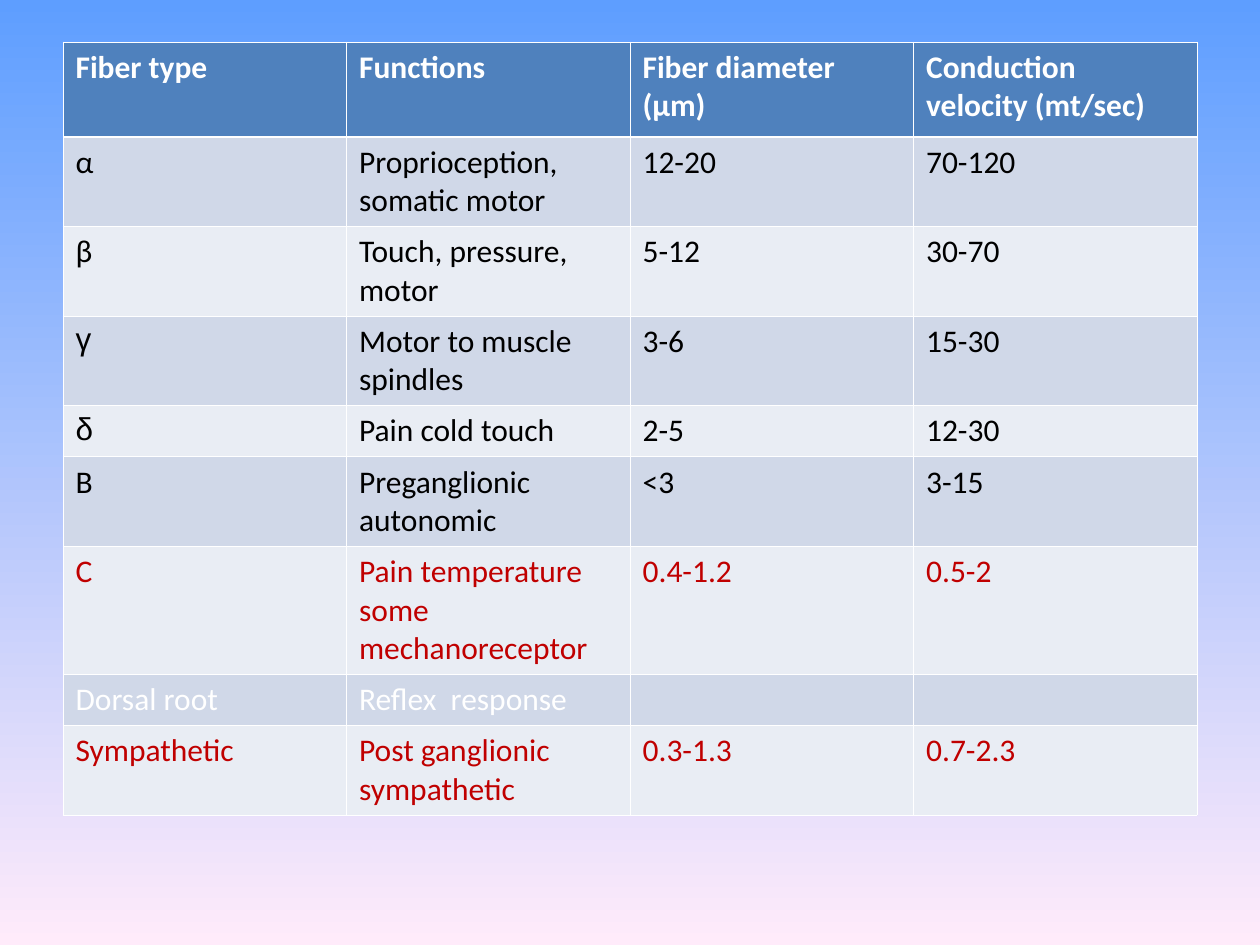
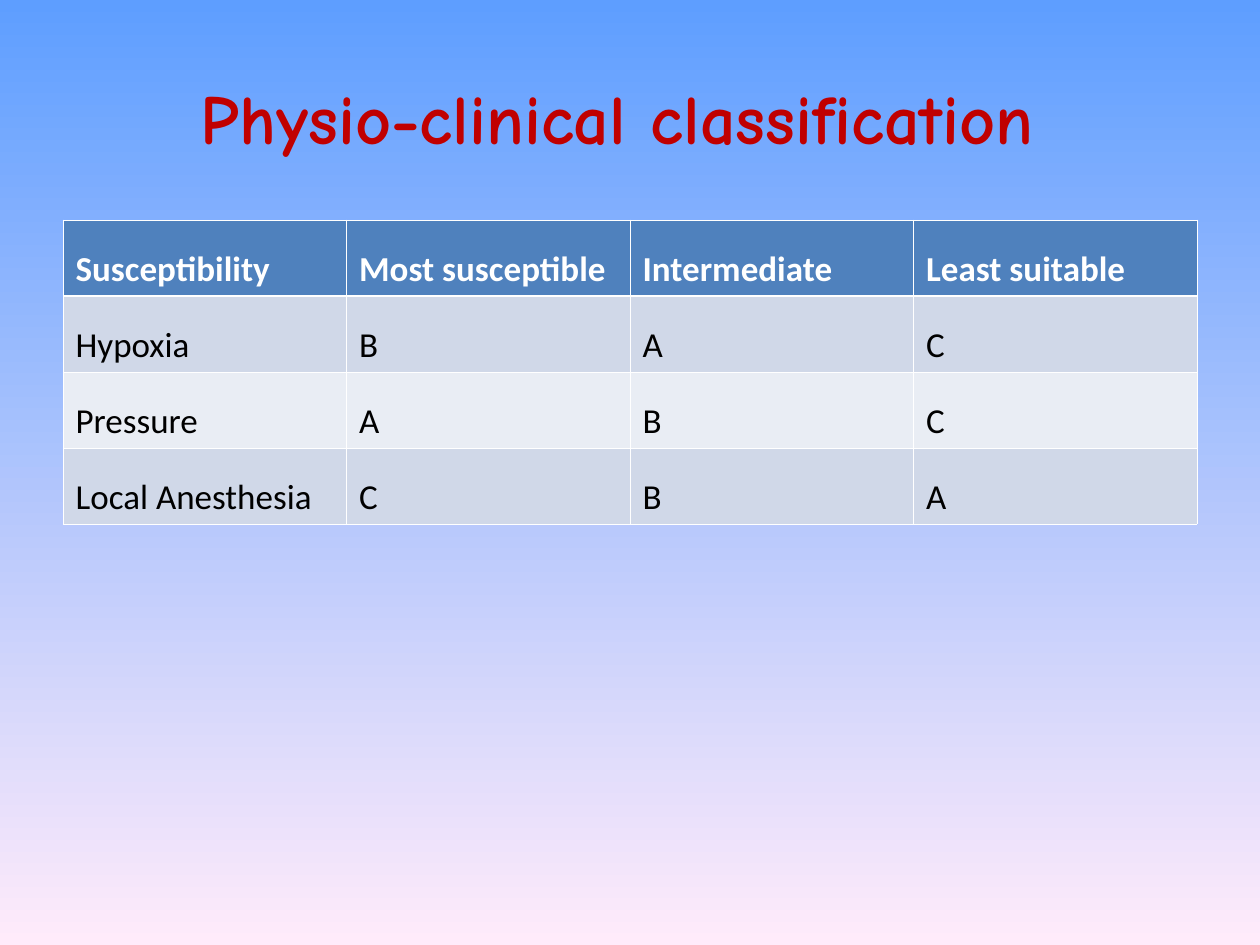
from dataclasses import dataclass

from lxml.etree import SubElement
from pptx import Presentation
from pptx.dml.color import RGBColor
from pptx.enum.text import MSO_ANCHOR, PP_ALIGN
from pptx.oxml.ns import qn
from pptx.slide import Slide
from pptx.table import _Cell as Cell
from pptx.util import Emu, Pt

# Shared look
EMU_PER_PX = 914400 / 126
SLIDE_WIDTH, SLIDE_HEIGHT = 1260, 945
MARGIN = 63
CONTENT_WIDTH = SLIDE_WIDTH - 2 * MARGIN
SKY, BLUSH = "5E9EFF", "FFEBFA"
WHITE, BLACK, RED = "FFFFFF", "000000", "C00000"
HEADER_FILL = "4F81BD"
BAND_FILLS = ("E9EDF4", "D0D8E8")
BODY_FONT, GREEK_FONT, TITLE_FONT = "Calibri", "Arial", "Comic Neue"
THIN_LINE, HEADER_LINE = 0.45, 1.47


@dataclass(frozen=True)
class TableRow:
    cells: tuple[str, ...]
    height: int
    color: str = BLACK
    first_font: str = BODY_FONT


@dataclass(frozen=True)
class TableSpec:
    top: int
    font_size: int
    line_spacing: float
    rows: tuple[TableRow, ...]


# Table contents
FIBER_TYPES = TableSpec(42, 18, 1.0, (
    TableRow(("Fiber type", "Functions", "Fiber diameter (µm)",
              "Conduction velocity (mt/sec)"), 95, WHITE),
    TableRow(("α", "Proprioception, somatic motor", "12-20", "70-120"), 89),
    TableRow(("β", "Touch, pressure, motor", "5-12", "30-70"), 89),
    TableRow(("γ", "Motor to muscle spindles", "3-6", "15-30"), 89,
             first_font=GREEK_FONT),
    TableRow(("δ", "Pain cold touch", "2-5", "12-30"), 51,
             first_font=GREEK_FONT),
    TableRow(("B", "Preganglionic autonomic", "<3", "3-15"), 89),
    TableRow(("C", "Pain temperature some mechanoreceptor",
              "0.4-1.2", "0.5-2"), 128, RED),
    TableRow(("Dorsal root", "Reflex  response", "", ""), 51, WHITE),
    TableRow(("Sympathetic", "Post ganglionic sympathetic",
              "0.3-1.3", "0.7-2.3"), 89, RED),
))

SUSCEPTIBILITY = TableSpec(220, 20, 1.5, (
    TableRow(("Susceptibility", "Most susceptible", "Intermediate",
              "Least suitable"), 76, WHITE),
    TableRow(("Hypoxia", "B", "A", "C"), 76),
    TableRow(("Pressure", "A", "B", "C"), 76),
    TableRow(("Local Anesthesia", "C", "B", "A"), 76),
))


def px(length: int) -> Emu:
    return Emu(round(length * EMU_PER_PX))


def rgb(hex_color: str) -> RGBColor:
    return RGBColor.from_string(hex_color)


def add_gradient_slide(presentation) -> Slide:
    slide = presentation.slides.add_slide(presentation.slide_layouts[6])
    fill = slide.background.fill
    fill.gradient()
    fill.gradient_angle = 270
    for stop, color in zip(fill.gradient_stops, (SKY, BLUSH)):
        stop.color.rgb = rgb(color)
    return slide


def style_text(paragraph, font_name: str, size: int, color: str,
               bold: bool) -> None:
    for run in paragraph.runs:
        run.font.name = font_name
        run.font.size = Pt(size)
        run.font.bold = bold
        run.font.color.rgb = rgb(color)


def add_title(slide: Slide, text: str) -> None:
    box = slide.shapes.add_textbox(px(MARGIN), px(38), px(CONTENT_WIDTH), px(158))
    text_frame = box.text_frame
    text_frame.word_wrap = True
    text_frame.vertical_anchor = MSO_ANCHOR.MIDDLE
    text_frame.text = text
    paragraph = text_frame.paragraphs[0]
    paragraph.alignment = PP_ALIGN.CENTER
    style_text(paragraph, TITLE_FONT, 40, RED, True)


def set_borders(cell: Cell, top: float, bottom: float) -> None:
    properties = cell._tc.get_or_add_tcPr()
    widths = {"lnL": THIN_LINE, "lnR": THIN_LINE, "lnT": top, "lnB": bottom}
    for side, width in widths.items():
        line = SubElement(properties, qn(f"a:{side}"), w=str(Pt(width)))
        fill = SubElement(line, qn("a:solidFill"))
        SubElement(fill, qn("a:srgbClr"), val=WHITE)


def add_data_table(slide: Slide, spec: TableSpec) -> None:
    column_count = len(spec.rows[0].cells)
    table = slide.shapes.add_table(
        len(spec.rows), column_count, px(MARGIN), px(spec.top),
        px(CONTENT_WIDTH), px(sum(row.height for row in spec.rows))).table
    table.horz_banding = False

    for row_index, row in enumerate(spec.rows):
        table.rows[row_index].height = px(row.height)
        is_header = row_index == 0
        for column_index, text in enumerate(row.cells):
            cell = table.cell(row_index, column_index)
            # Borders go before the fill in the cell properties
            set_borders(cell,
                        top=HEADER_LINE if row_index == 1 else THIN_LINE,
                        bottom=HEADER_LINE if is_header else THIN_LINE)
            cell.fill.solid()
            cell.fill.fore_color.rgb = rgb(
                HEADER_FILL if is_header else BAND_FILLS[row_index % 2])
            cell.text_frame.text = text
            paragraph = cell.text_frame.paragraphs[0]
            paragraph.line_spacing = spec.line_spacing
            font_name = row.first_font if column_index == 0 else BODY_FONT
            style_text(paragraph, font_name, spec.font_size, row.color, is_header)


def main() -> None:
    presentation = Presentation()
    presentation.slide_width = px(SLIDE_WIDTH)
    presentation.slide_height = px(SLIDE_HEIGHT)

    # Slide 1: nerve fiber types
    add_data_table(add_gradient_slide(presentation), FIBER_TYPES)

    # Slide 2: susceptibility of fiber groups
    slide = add_gradient_slide(presentation)
    add_title(slide, "Physio-clinical classification ")
    add_data_table(slide, SUSCEPTIBILITY)

    presentation.save("out.pptx")


if __name__ == "__main__":
    main()
